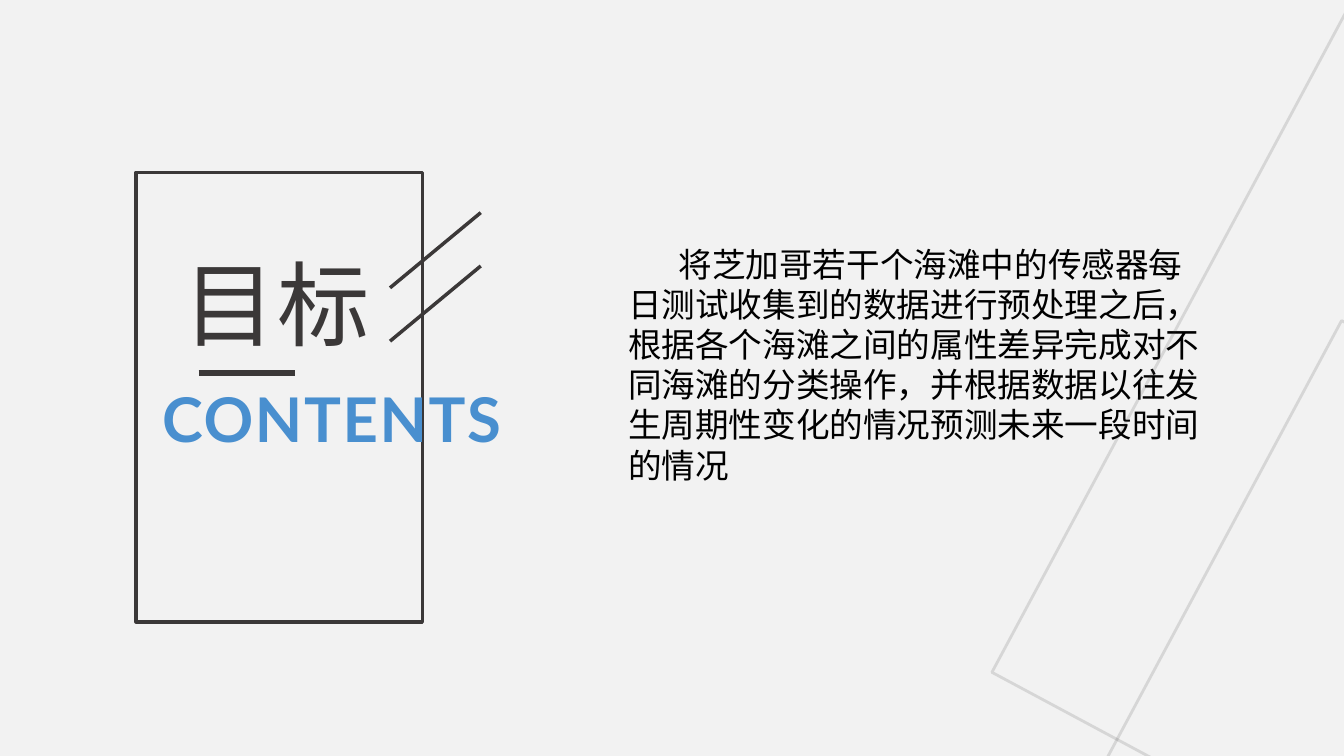
from pptx import Presentation
from pptx.dml.color import RGBColor
from pptx.enum import shapes, text
from pptx.oxml import ns, xmlchemy as xc
from pptx.util import Pt

HUES = {"back": "F2F2F2", "dark": "3B3838", "ink": "000000",
        "sky": "498FCF", "deep": "2B37BE"}
HAN = "Noto Sans CJK SC"
GOAL = ("将芝加哥若干个海滩中的传感器每日测试收集到的数据进行预处理之后，"
        "根据各个海滩之间的属性差异完成对不同海滩的分类操作，"
        "并根据数据以往发生周期性变化的情况预测未来一段时间的情况")


def color(key):
    return RGBColor.from_string(HUES[key])


def place(shape, left, top, width, height):
    shape.left, shape.top = Pt(left), Pt(top)
    shape.width, shape.height = Pt(width), Pt(height)


def add_frame(slide, left, top, width, height, weight, turn=0, alpha=None):
    """Add an unfilled box; alpha is the line opacity in percent."""
    box = slide.shapes.add_shape(shapes.MSO_SHAPE.RECTANGLE, Pt(left), Pt(top),
                                 Pt(width), Pt(height))
    box.shadow.inherit = False
    box.rotation = turn
    box.fill.background()
    box.line.color.rgb = color("dark")
    box.line.width = Pt(weight)
    if alpha:
        tint = box.line._ln.find(".//" + ns.qn("a:srgbClr"))
        mark = xc.OxmlElement("a:alpha")
        mark.set("val", str(alpha * 1000))
        tint.append(mark)


def add_line(slide, x1, y1, x2, y2, weight):
    line = slide.shapes.add_connector(shapes.MSO_CONNECTOR.STRAIGHT,
                                      Pt(x1), Pt(y1), Pt(x2), Pt(y2))
    line.line.color.rgb = color("dark")
    line.line.width = Pt(weight)
    line._element.spPr.append(xc.OxmlElement("a:effectLst"))


def add_text(shape, words, size, face, hue, track=0, lead=None,
             fit=text.MSO_AUTO_SIZE.NONE):
    """Write one run; track is letter spacing and lead line pitch, in points."""
    frame = shape.text_frame
    frame.word_wrap = True
    frame.auto_size = fit
    frame.vertical_anchor = text.MSO_ANCHOR.TOP
    para = frame.paragraphs[0]
    para.alignment = text.PP_ALIGN.LEFT
    para.space_before = Pt(0)
    if lead:
        para.line_spacing = Pt(lead)
    run = para.add_run()
    run.text = words
    run.font.size = Pt(size)
    run.font.name = face
    run.font.color.rgb = color(hue)
    props = run._r.get_or_add_rPr()
    if track:
        props.set("spc", str(round(track * 100)))
    east = xc.OxmlElement("a:ea")
    east.set("typeface", face)
    props.append(east)
    return run


def add_label(slide):
    box = slide.shapes.add_textbox(Pt(108.7), Pt(268.6), Pt(339.8), Pt(60.5))
    font = add_text(box, "CONTENTS", 44, "Lato", "sky", 1.2,
                    fit=text.MSO_AUTO_SIZE.SHAPE_TO_FIT_TEXT).font
    font.bold = True
    font.fill.gradient()
    font.fill.gradient_angle = 225
    for stop, hue in zip(font.fill.gradient_stops, ("sky", "deep")):
        stop.color.rgb = color(hue)


def add_body(body):
    place(body, 441.4, 170.6, 432.7, 199.4)
    props = body.text_frame.paragraphs[0]._p.get_or_add_pPr()
    props.set("marL", "0")
    props.set("indent", str(Pt(36)))
    props.append(xc.OxmlElement("a:buNone"))
    add_text(body, GOAL, 24, HAN, "ink", lead=28.7)


def main():
    deck = Presentation()
    deck.slide_width, deck.slide_height = Pt(960), Pt(540)
    slide = deck.slides.add_slide(deck.slide_layouts[1])
    slide.background.fill.solid()
    slide.background.fill.fore_color.rgb = color("back")

    for left, top in ((804.2, 99.4), (798.5, 324.7)):
        add_frame(slide, left, top, 540.7, 540.7, 2, 298.2, 15)
    add_frame(slide, 97.2, 123.1, 204.5, 321.1, 2.5)

    title, body = slide.placeholders
    place(title, 123.8, 200.2, 299.5, 59.8)
    add_text(title, "目标", 66, HAN, "dark", 1.3, 52)
    add_label(slide)
    add_line(slide, 141.8, 266.4, 211, 266.4, 4)
    for top in (151.9, 190):
        add_line(slide, 343.4, top, 278.6, top + 53.7, 2.5)
    add_body(body)
    deck.save("out.pptx")


if __name__ == "__main__":
    main()
